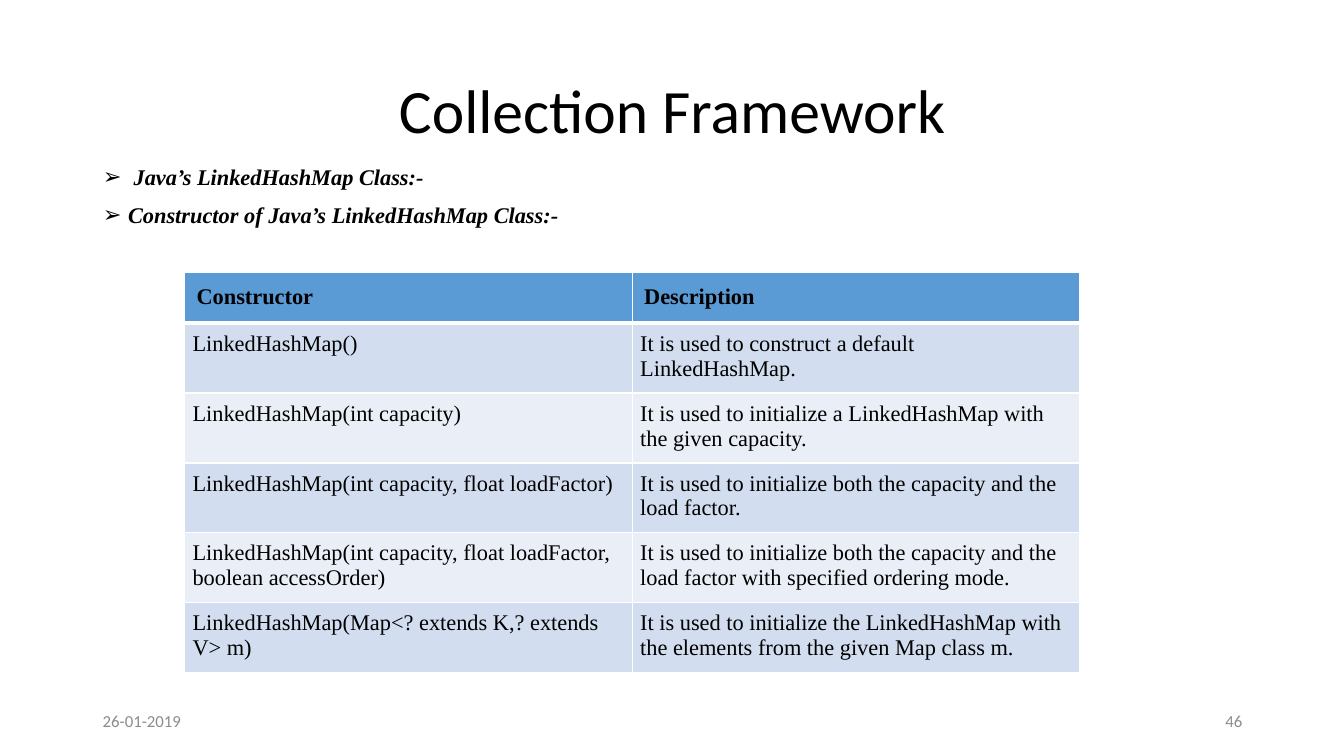
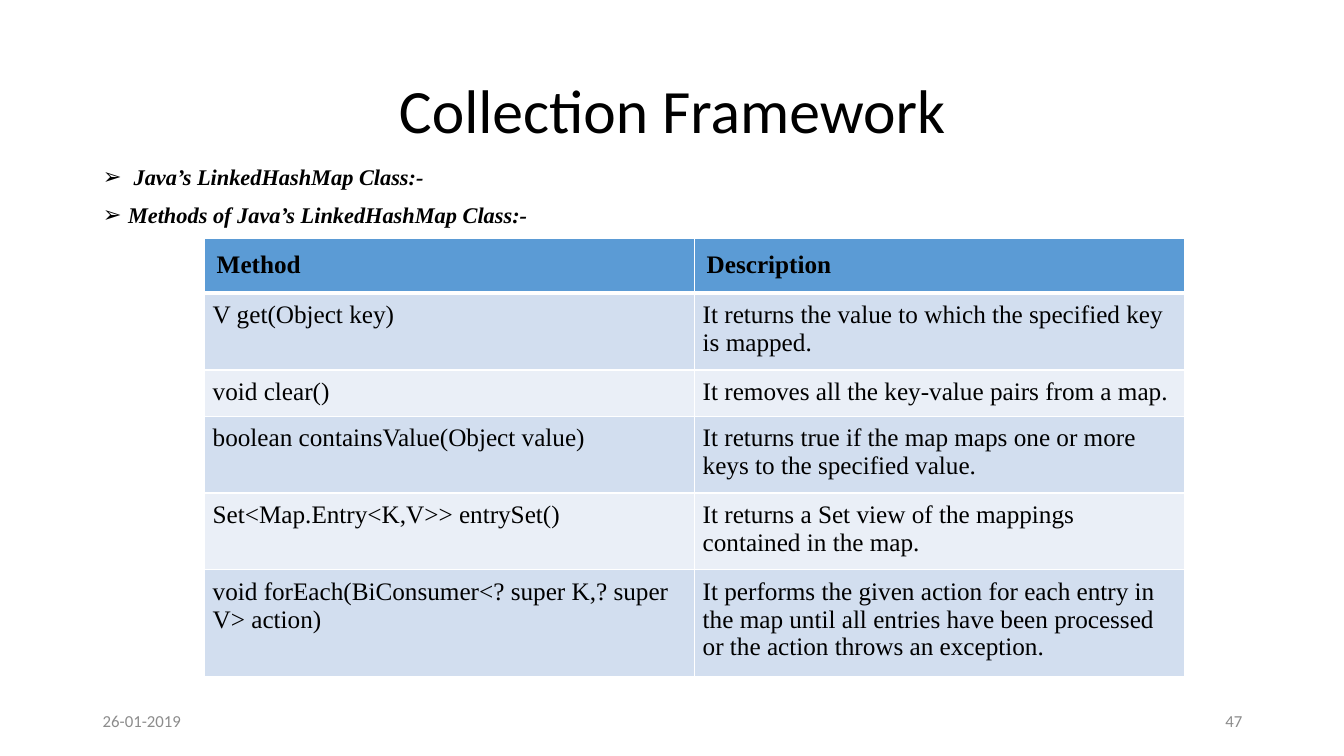
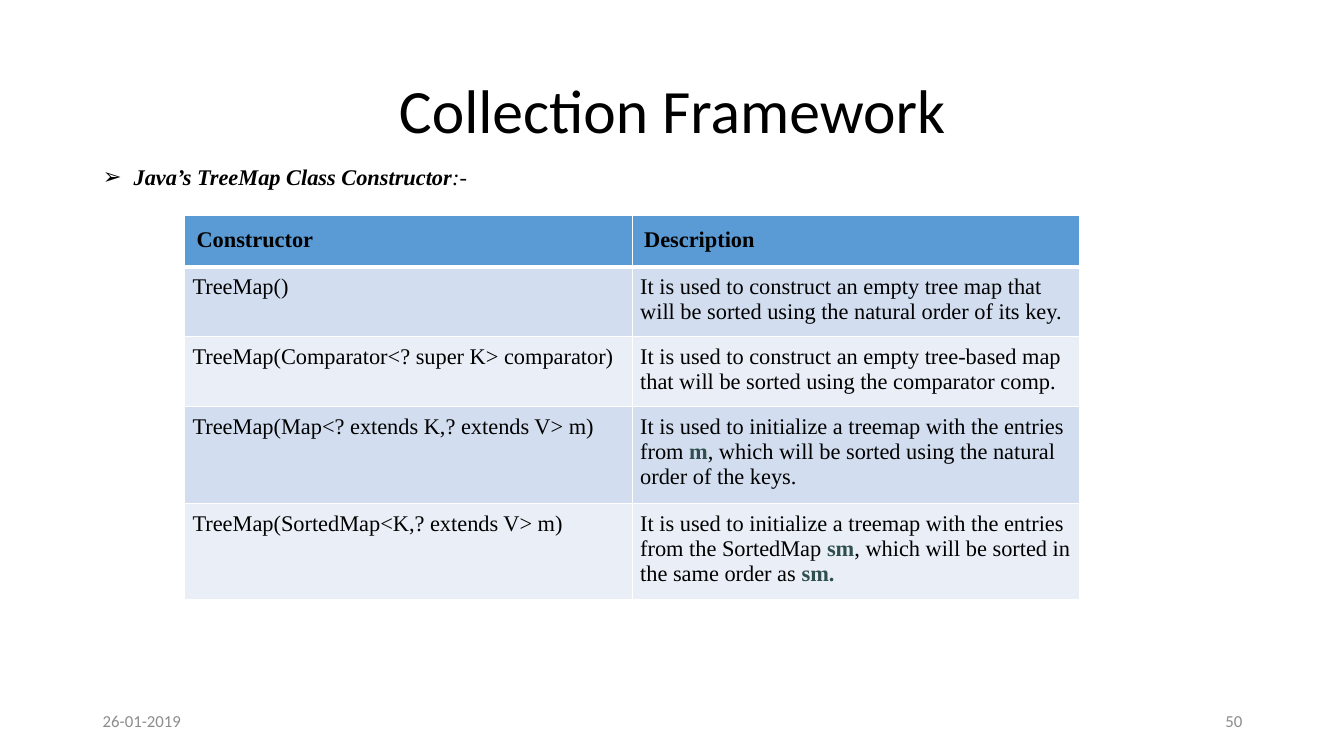
from dataclasses import dataclass

from lxml.etree import SubElement
from pptx import Presentation
from pptx.dml.color import RGBColor
from pptx.enum.text import MSO_ANCHOR, MSO_AUTO_SIZE, PP_ALIGN
from pptx.oxml.ns import qn
from pptx.util import Inches, Pt


# Theme and content types
@dataclass(frozen=True)
class Theme:
    heading_font: str = "Calibri"
    text_font: str = "Times New Roman"
    ink: str = "000000"
    muted: str = "8C8C8C"
    accent: str = "2F4F4F"
    border: str = "FFFFFF"
    header_fill: str = "5B9BD5"
    band_fills: tuple[str, str] = ("D2DEEF", "EAEFF7")
    title_size: int = 44
    bullet_size: int = 16
    footer_size: int = 12
    header_inset: float = 0.12
    cell_inset: float = 0.08
    row_height: float = 0.41


@dataclass(frozen=True)
class Style:
    font: str
    size: int
    color: str
    bold: bool = False
    italic: bool = False


@dataclass(frozen=True)
class Area:
    left: float
    top: float
    width: float
    height: float


@dataclass(frozen=True)
class TableSpec:
    left: float
    top: float
    column_width: float
    size: int
    rows: tuple[tuple[str, str], ...]


@dataclass(frozen=True)
class PageSpec:
    number: str
    bullets: tuple[str, ...]
    table: TableSpec


THEME = Theme()
TITLE = "Collection Framework"
DATE = "26-01-2019"
TITLE_AREA = Area(0.92, 0.4, 11.5, 1.45)
BODY_AREA = Area(0.92, 1.6, 11.5, 5.75)
DATE_AREA = Area(0.92, 6.95, 3, 0.4)
NUMBER_AREA = Area(9.42, 6.95, 3, 0.4)

# Page content; text between asterisks takes the alternate style
PAGES = (
    PageSpec(
        "46",
        (" Java’s LinkedHashMap Class:-", "Constructor of Java’s LinkedHashMap Class:-"),
        TableSpec(1.83, 2.7, 4.44, 16, (
            ("Constructor", "Description"),
            ("LinkedHashMap()", "It is used to construct a default LinkedHashMap."),
            ("LinkedHashMap(int capacity)",
             "It is used to initialize a LinkedHashMap with the given capacity."),
            ("LinkedHashMap(int capacity, float loadFactor)",
             "It is used to initialize both the capacity and the load factor."),
            ("LinkedHashMap(int capacity, float loadFactor, boolean accessOrder)",
             "It is used to initialize both the capacity and the load factor "
             "with specified ordering mode."),
            ("LinkedHashMap(Map<? extends K,? extends V> m)",
             "It is used to initialize the LinkedHashMap with the elements "
             "from the given Map class m."),
        )),
    ),
    PageSpec(
        "47",
        (" Java’s LinkedHashMap Class:-", "Methods of Java’s LinkedHashMap Class:-"),
        TableSpec(2.03, 2.37, 4.86, 18, (
            ("Method", "Description"),
            ("V get(Object key)",
             "It returns the value to which the specified key is mapped."),
            ("void clear()", "It removes all the key-value pairs from a map."),
            ("boolean containsValue(Object value)",
             "It returns true if the map maps one or more keys to the specified value."),
            ("Set<Map.Entry<K,V>> entrySet()",
             "It returns a Set view of the mappings contained in the map."),
            ("void forEach(BiConsumer<? super K,? super V> action)",
             "It performs the given action for each entry in the map until all "
             "entries have been processed or the action throws an exception."),
        )),
    ),
    PageSpec(
        "50",
        (" Java’s TreeMap Class Constructor*:-*",),
        TableSpec(1.83, 2.14, 4.44, 16, (
            ("Constructor", "Description"),
            ("TreeMap()",
             "It is used to construct an empty tree map that will be sorted "
             "using the natural order of its key."),
            ("TreeMap(Comparator<? super K> comparator)",
             "It is used to construct an empty tree-based map that will be "
             "sorted using the comparator comp."),
            ("TreeMap(Map<? extends K,? extends V> m)",
             "It is used to initialize a treemap with the entries from\u00a0*m*, "
             "which will be sorted using the natural order of the keys."),
            ("TreeMap(SortedMap<K,? extends V> m)",
             "It is used to initialize a treemap with the entries from the "
             "SortedMap\u00a0*sm*, which will be sorted in the same order as\u00a0*sm.*"),
        )),
    ),
)


# Text helpers
def write(para, text: str, style: Style, alternate: Style | None = None) -> None:
    for index, part in enumerate(text.split("*")):
        if not part:
            continue
        look = alternate if index % 2 and alternate else style
        span = para.add_run()
        span.text = part
        span.font.name = look.font
        span.font.size = Pt(look.size)
        span.font.bold = look.bold
        span.font.italic = look.italic
        span.font.color.rgb = RGBColor.from_string(look.color)


def place(box, area: Area) -> None:
    box.left, box.top = Inches(area.left), Inches(area.top)
    box.width, box.height = Inches(area.width), Inches(area.height)


def add_title(page) -> None:
    box = page.shapes.title
    place(box, TITLE_AREA)
    frame = box.text_frame
    frame.auto_size = MSO_AUTO_SIZE.NONE
    frame.vertical_anchor = MSO_ANCHOR.MIDDLE
    para = frame.paragraphs[0]
    para.alignment = PP_ALIGN.CENTER
    para.line_spacing = 0.9
    write(para, TITLE, Style(THEME.heading_font, THEME.title_size, THEME.ink))


def add_bullets(page, bullets: tuple[str, ...]) -> None:
    box = page.placeholders[1]
    place(box, BODY_AREA)
    frame = box.text_frame
    frame.auto_size = MSO_AUTO_SIZE.NONE
    strong = Style(THEME.text_font, THEME.bullet_size, THEME.ink, True, True)
    light = Style(THEME.text_font, THEME.bullet_size, THEME.ink, False, True)
    for index, text in enumerate(bullets):
        para = frame.add_paragraph() if index else frame.paragraphs[0]
        para.line_spacing = 0.9
        para.space_before = Pt(10)
        properties = para._p.get_or_add_pPr()
        properties.set("marL", str(Inches(0.25)))
        properties.set("indent", str(Inches(-0.25)))
        SubElement(properties, qn("a:buChar"), char="➢")
        write(para, text, strong, light)


def add_footer(page, area: Area, text: str, alignment: PP_ALIGN) -> None:
    box = page.shapes.add_textbox(0, 0, 0, 0)
    place(box, area)
    frame = box.text_frame
    frame.word_wrap = True
    frame.vertical_anchor = MSO_ANCHOR.MIDDLE
    para = frame.paragraphs[0]
    para.alignment = alignment
    write(para, text, Style(THEME.heading_font, THEME.footer_size, THEME.muted))


# Table
def set_border(cell, side: str, width: float) -> None:
    line = SubElement(cell._tc.get_or_add_tcPr(), qn(f"a:ln{side}"), w=str(Pt(width)))
    fill = SubElement(line, qn("a:solidFill"))
    SubElement(fill, qn("a:srgbClr"), val=THEME.border)


def format_cell(cell, row: int) -> None:
    inset = Inches(THEME.cell_inset if row else THEME.header_inset)
    cell.margin_left = cell.margin_right = inset
    cell.margin_top = cell.margin_bottom = inset
    widths = {"L": 1, "R": 1, "T": 3 if row == 1 else 1, "B": 1 if row else 3}
    for side, width in widths.items():
        set_border(cell, side, width)
    color = THEME.band_fills[(row - 1) % 2] if row else THEME.header_fill
    cell.fill.solid()
    cell.fill.fore_color.rgb = RGBColor.from_string(color)


def add_grid(page, spec: TableSpec) -> None:
    count = len(spec.rows)
    table = page.shapes.add_table(
        count, 2, Inches(spec.left), Inches(spec.top),
        Inches(2 * spec.column_width), Inches(count * THEME.row_height)).table
    accent = Style(THEME.text_font, spec.size, THEME.accent, True)
    for row, texts in enumerate(spec.rows):
        style = Style(THEME.text_font, spec.size, THEME.ink, row == 0)
        for column, text in enumerate(texts):
            cell = table.cell(row, column)
            format_cell(cell, row)
            write(cell.text_frame.paragraphs[0], text, style, accent)


# Deck
def build_page(deck, spec: PageSpec) -> None:
    page = deck.slides.add_slide(deck.slide_layouts[1])
    add_title(page)
    add_bullets(page, spec.bullets)
    add_footer(page, DATE_AREA, DATE, PP_ALIGN.LEFT)
    add_footer(page, NUMBER_AREA, spec.number, PP_ALIGN.RIGHT)
    add_grid(page, spec.table)


def main() -> None:
    deck = Presentation()
    deck.slide_width, deck.slide_height = Inches(13.33), Inches(7.5)
    for spec in PAGES:
        build_page(deck, spec)
    deck.save("out.pptx")


main()
